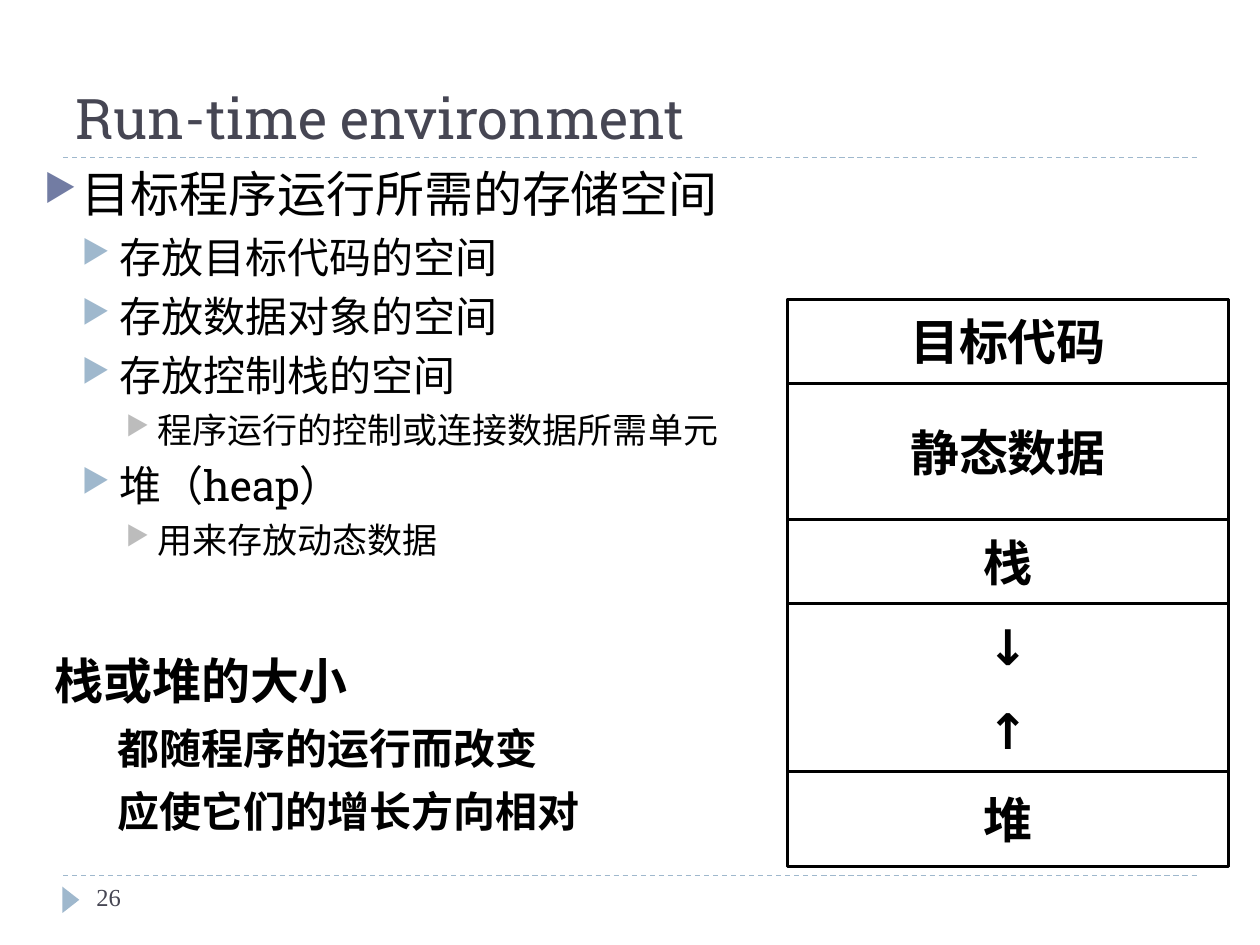
from lxml.etree import SubElement
from pptx import Presentation
from pptx.dml.color import RGBColor
from pptx.enum.dml import MSO_LINE
from pptx.enum.shapes import MSO_CONNECTOR, MSO_SHAPE
from pptx.enum.text import MSO_ANCHOR as ANCHOR, MSO_AUTO_SIZE, PP_ALIGN as ALIGN
from pptx.oxml.ns import qn
from pptx.util import Inches, Pt

COLS, ROWS = 120, 90  # grid units of 1/12 inch


def color(value):
    return RGBColor.from_string(value)


class Deck:
    font = "Roboto Slab"
    ink, muted, accent = "000000", "464653", "9FB8CD"
    # level: (text size, left margin, hanging indent, bullet colour, space before)
    levels = [(28, 0.3, 0.3, "727CA3", 6),
              (24, 0.6, 0.3, "9FB8CD", 5),
              (20, 0.9, 0.25, "BCBCBC", 5)]

    def __init__(self):
        self.prs = Presentation()
        self.prs.slide_width, self.prs.slide_height = Inches(10), Inches(7.5)
        self.s = self.prs.slides.add_slide(self.prs.slide_layouts[5])

    def x(self, cols):
        return round(self.prs.slide_width * cols / COLS)

    def y(self, rows):
        return round(self.prs.slide_height * rows / ROWS)

    def box(self, col, row, cols, rows):
        return self.x(col), self.y(row), self.x(cols), self.y(rows)

    def run(self, p, text, size, ink=None, bold=False, font=None):
        r = p.add_run()
        r.text = text
        r.font.name, r.font.size, r.font.bold = font or self.font, Pt(size), bold
        r.font.color.rgb = color(ink or self.ink)

    def indent(self, p, left, hanging=0):
        pPr = p._p.get_or_add_pPr()
        pPr.set("marL", str(Inches(left)))
        pPr.set("indent", str(-Inches(hanging)))
        return pPr

    def title(self, text, *place):
        sp = self.s.shapes.title
        sp.left, sp.top, sp.width, sp.height = self.box(*place)
        tf = sp.text_frame
        tf.vertical_anchor, tf.auto_size = ANCHOR.BOTTOM, MSO_AUTO_SIZE.NONE
        p = tf.paragraphs[0]
        p.alignment = ALIGN.LEFT
        self.run(p, text, 32, self.muted)

    def text_box(self, *place):
        tf = self.s.shapes.add_textbox(*self.box(*place)).text_frame
        tf.word_wrap = True
        return tf

    def paragraphs(self, tf, items):
        """Yield a paragraph of tf with each (level, text) item."""
        for i, (level, text) in enumerate(items):
            p = tf.add_paragraph() if i else tf.paragraphs[0]
            p.level = level
            yield i, p, level, text

    def bullets(self, items, *place):
        for i, p, level, text in self.paragraphs(self.text_box(*place), items):
            size, left, hanging, mark, before = self.levels[level]
            pPr = self.indent(p, left, hanging)
            clr = SubElement(pPr, qn("a:buClr"))
            SubElement(clr, qn("a:srgbClr"), val=mark)
            SubElement(pPr, qn("a:buSzPct"), val="76000")
            SubElement(pPr, qn("a:buChar"), char="▶")
            p.space_before = Pt(before if i else 0)
            self.run(p, text, size)

    def remarks(self, items, *place):
        for _, p, level, text in self.paragraphs(self.text_box(*place), items):
            self.indent(p, 0.5 * level)
            p.line_spacing = 1.25
            self.run(p, text, self.levels[level][0], bold=True)

    def cell(self, text, *place, outlined=True):
        sp = self.s.shapes.add_shape(MSO_SHAPE.RECTANGLE, *self.box(*place))
        sp.shadow.inherit = False
        sp.fill.background()
        if outlined:
            sp.line.color.rgb, sp.line.width = color(self.ink), Pt(1.5)
        else:
            sp.line.fill.background()
        if text:
            tf = sp.text_frame
            tf.vertical_anchor = ANCHOR.MIDDLE
            p = tf.paragraphs[0]
            p.alignment = ALIGN.CENTER
            self.run(p, text, 28, bold=True)

    def rule(self, row):
        y = self.y(row)
        ln = self.s.shapes.add_connector(MSO_CONNECTOR.STRAIGHT, self.x(6), y, self.x(114), y)
        ln.line.color.rgb, ln.line.width = color(self.accent), Pt(0.75)
        ln.line.dash_style = MSO_LINE.DASH
        SubElement(ln._element.spPr, qn("a:effectLst"))

    def page_number(self, number, col, row):
        sp = self.s.shapes.add_shape(MSO_SHAPE.ISOSCELES_TRIANGLE,
                                     *self.box(col - 2.5, row + 1.5, 2.5, 1.6))
        sp.rotation = 90
        sp.shadow.inherit = False
        sp.fill.solid()
        sp.fill.fore_color.rgb = color(self.accent)
        sp.line.fill.background()
        p = self.text_box(col, row, 26, 4.8).paragraphs[0]
        self.run(p, number, 14, self.muted, font="Times New Roman")


def main():
    deck = Deck()
    deck.rule(83.4)
    deck.rule(15)
    deck.title("Run-time environment", 6, 2, 108, 13)
    deck.page_number("26", 8, 83.4)
    deck.bullets([
        (0, "目标程序运行所需的存储空间"),
        (1, "存放目标代码的空间"),
        (1, "存放数据对象的空间"),
        (1, "存放控制栈的空间"),
        (2, "程序运行的控制或连接数据所需单元"),
        (1, "堆（heap）"),
        (2, "用来存放动态数据"),
    ], 3, 15, 72, 43)

    # Memory layout: (label, rows, outlined), stacked from the top
    col, top, cols = 75, 28.5, 42
    memory = [("目标代码", 8, True), ("静态数据", 13, True), ("栈", 8, True),
              ("↓", 8, False), ("↑", 8, False), ("堆", 9, True)]
    row = top
    for label, rows, outlined in memory:
        deck.cell(label, col, row, cols, rows, outlined=outlined)
        row += rows
    deck.cell("", col, top, cols, row - top)

    deck.remarks([
        (0, "栈或堆的大小"),
        (1, "都随程序的运行而改变"),
        (1, "应使它们的增长方向相对"),
    ], 4, 60, 72, 26)
    deck.prs.save("out.pptx")


if __name__ == "__main__":
    main()
